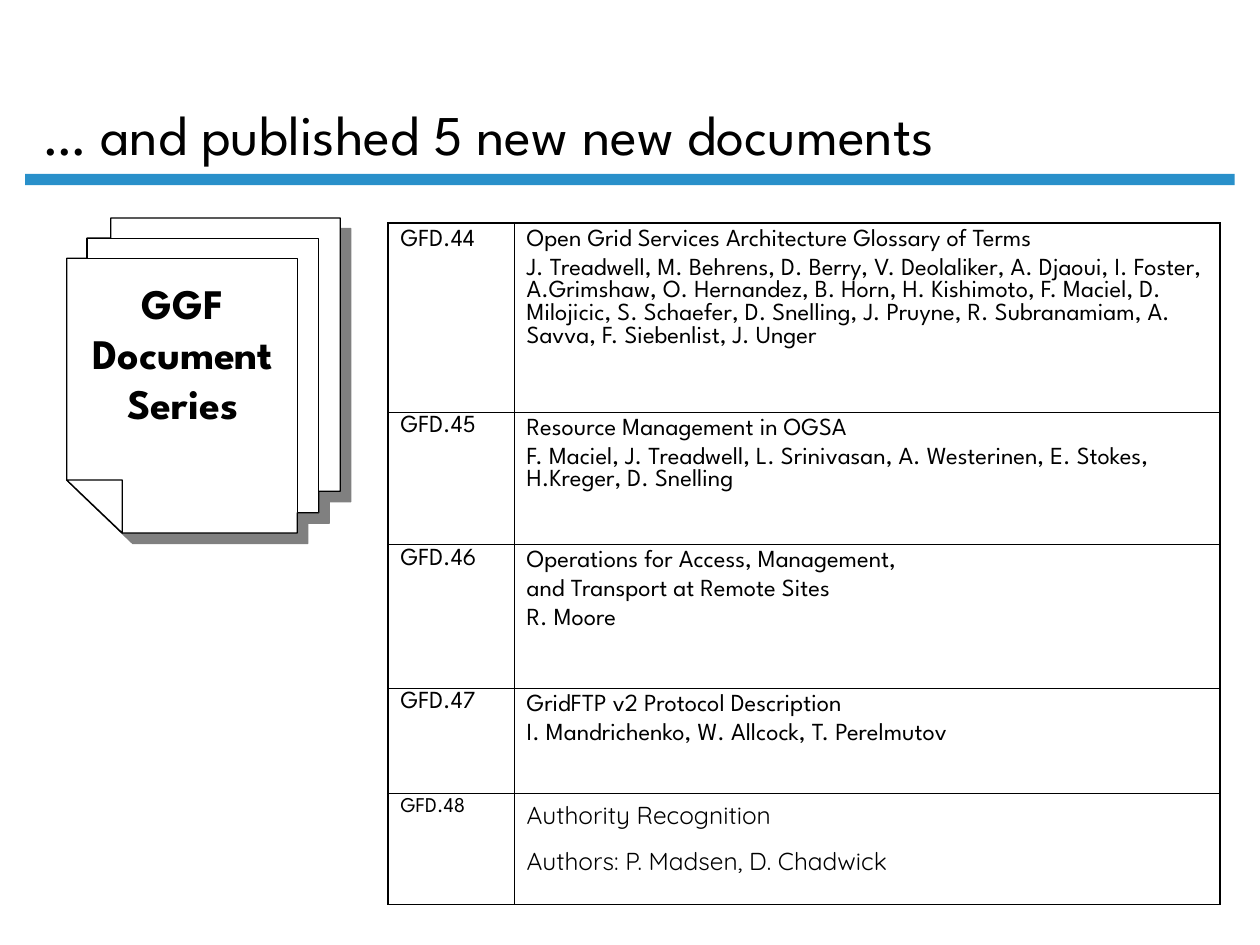
"""Build the slide listing five newly published grid documents."""
from dataclasses import dataclass

from lxml import etree
from pptx import Presentation
from pptx import util as u
from pptx.dml.color import RGBColor
from pptx.enum import shapes, text
from pptx.oxml import ns

BLACK = RGBColor(0x00, 0x00, 0x00)
WHITE = RGBColor(0xFF, 0xFF, 0xFF)
GREY = RGBColor(0x80, 0x80, 0x80)
BLUE = RGBColor(0x29, 0x90, 0xCA)
SPARTAN = "League Spartan"
QUICKSAND = "Quicksand"
OUTER, INNER = 1.08, 0.45


@dataclass(frozen=True)
class Outline:
    points: tuple[tuple[float, float], ...]
    shadow: bool = False


@dataclass(frozen=True)
class Document:
    number: str
    lines: tuple[str, ...]
    height: float
    spacing: float = 0.8
    number_size: float = 14
    font: str = SPARTAN
    gap: float = 3.5


OUTLINES = (
    Outline(((0.53, 3.81), (0.53, 2.05), (0.69, 2.05), (0.69, 1.89), (0.88, 1.89),
             (0.88, 1.73), (2.7, 1.73), (2.7, 3.9), (2.53, 3.9), (2.53, 4.07),
             (2.36, 4.07), (2.36, 4.23), (0.97, 4.23)), shadow=True),
    Outline(((0.88, 1.89), (2.53, 1.89), (2.53, 4.07), (2.36, 4.07), (2.36, 2.05),
             (0.69, 2.05), (0.69, 1.89))),
    Outline(((0.53, 3.81), (0.97, 3.81), (0.97, 4.23))),
)

DOCUMENTS = (
    Document("GFD.44", (
        "Open Grid Services Architecture Glossary of Terms",
        "J. Treadwell, M. Behrens, D. Berry, V. Deolaliker, A. Djaoui, I. Foster, "
        "A.Grimshaw, O. Hernandez, B. Horn, H. Kishimoto, F. Maciel, D. Milojicic, "
        "S. Schaefer, D. Snelling, J. Pruyne, R. Subranamiam, A. Savva, "
        "F. Siebenlist, J. Unger"), 1.5, spacing=1.0),
    Document("GFD.45", (
        "Resource Management in OGSA",
        "F. Maciel, J. Treadwell, L. Srinivasan, A. Westerinen, E. Stokes, "
        "H.Kreger, D. Snelling"), 1.05),
    Document("GFD.46", (
        "Operations for Access, Management,",
        "and Transport at Remote Sites",
        "R. Moore"), 1.14),
    Document("GFD.47", (
        "GridFTP v2 Protocol Description",
        "I. Mandrichenko, W. Allcock, T. Perelmutov"), 0.84),
    Document("GFD.48", (
        "Authority Recognition",
        "Authors: P. Madsen, D. Chadwick"), 0.88,
        number_size=12, font=QUICKSAND, gap=8.8),
)


def add_run(p, words: str, size: float, font: str = SPARTAN, bold: bool = False) -> None:
    r = p.add_run()
    r.text = words
    r.font.size = u.Pt(size)
    r.font.name = font
    r.font.bold = bold
    r.font.color.rgb = BLACK


def add_text(s, at: tuple[float, ...], words: str, size: float, anchor, align,
             bold: bool = False) -> None:
    tf = s.shapes.add_textbox(*map(u.Inches, at)).text_frame
    tf.word_wrap = True
    tf.vertical_anchor = anchor
    p = tf.paragraphs[0]
    p.alignment = align
    add_run(p, words, size, bold=bold)


def add_outline(s, outline: Outline) -> None:
    start, *rest = [(u.Inches(x), u.Inches(y)) for x, y in outline.points]
    builder = s.shapes.build_freeform(*start)
    builder.add_line_segments(rest, close=True)
    sp = builder.convert_to_shape()
    sp.fill.solid()
    sp.fill.fore_color.rgb = WHITE
    sp.line.color.rgb = BLACK
    sp.line.width = u.Pt(0.75)
    sp.shadow.inherit = False
    if outline.shadow:
        effects = sp.element.spPr.find(ns.qn("a:effectLst"))
        cast = etree.SubElement(effects, ns.qn("a:outerShdw"), dist=str(u.Pt(8.5)),
                                dir=str(45 * 60000), algn="ctr", rotWithShape="0")
        etree.SubElement(cast, ns.qn("a:srgbClr"), val=str(GREY))


def set_borders(cell, widths: dict[str, float]) -> None:
    tc_pr = cell._tc.get_or_add_tcPr()
    for side, width in widths.items():
        ln = etree.SubElement(tc_pr, ns.qn(f"a:ln{side}"), w=str(u.Pt(width)))
        fill = etree.SubElement(ln, ns.qn("a:solidFill"))
        etree.SubElement(fill, ns.qn("a:srgbClr"), val=str(BLACK))
    cell.fill.background()


def add_documents(s, documents: tuple[Document, ...]) -> None:
    height = sum(d.height for d in documents)
    table = s.shapes.add_table(len(documents), 2, u.Inches(3.08), u.Inches(1.77),
                               u.Inches(6.6), u.Inches(height)).table
    table.first_row = table.horz_banding = False
    table.columns[0].width = u.Inches(1)
    table.columns[1].width = u.Inches(5.6)
    last = len(documents) - 1
    for i, d in enumerate(documents):
        table.rows[i].height = u.Inches(d.height)
        number, details = table.cell(i, 0), table.cell(i, 1)
        for j, cell in enumerate((number, details)):
            set_borders(cell, {"L": INNER if j else OUTER, "R": OUTER if j else INNER,
                               "T": INNER if i else OUTER,
                               "B": OUTER if i == last else INNER})
        p = number.text_frame.paragraphs[0]
        p.line_spacing = d.spacing
        add_run(p, d.number, d.number_size)
        tf = details.text_frame
        for k, line in enumerate(d.lines):
            p = tf.add_paragraph() if k else tf.paragraphs[0]
            p.space_before = u.Pt(d.gap if k else 0)
            add_run(p, line, 14, d.font)


def main() -> None:
    prs = Presentation()
    prs.slide_width, prs.slide_height = u.Inches(10), u.Inches(7.5)
    s = prs.slides.add_slide(prs.slide_layouts[6])
    rule = s.shapes.add_shape(shapes.MSO_SHAPE.RECTANGLE, u.Inches(0.2), u.Inches(1.38),
                              u.Inches(9.6), u.Inches(0.09))
    rule.shadow.inherit = False
    rule.fill.solid()
    rule.fill.fore_color.rgb = BLUE
    rule.line.fill.background()
    add_text(s, (0.25, 0.12, 8.56, 1.25), "… and published 5 new new documents", 32,
             text.MSO_ANCHOR.BOTTOM, text.PP_ALIGN.LEFT)
    for outline in OUTLINES:
        add_outline(s, outline)
    add_text(s, (0.39, 2.15, 2.12, 1.3), "GGF Document Series", 24,
             text.MSO_ANCHOR.TOP, text.PP_ALIGN.CENTER, bold=True)
    add_documents(s, DOCUMENTS)
    prs.save("out.pptx")


if __name__ == "__main__":
    main()
